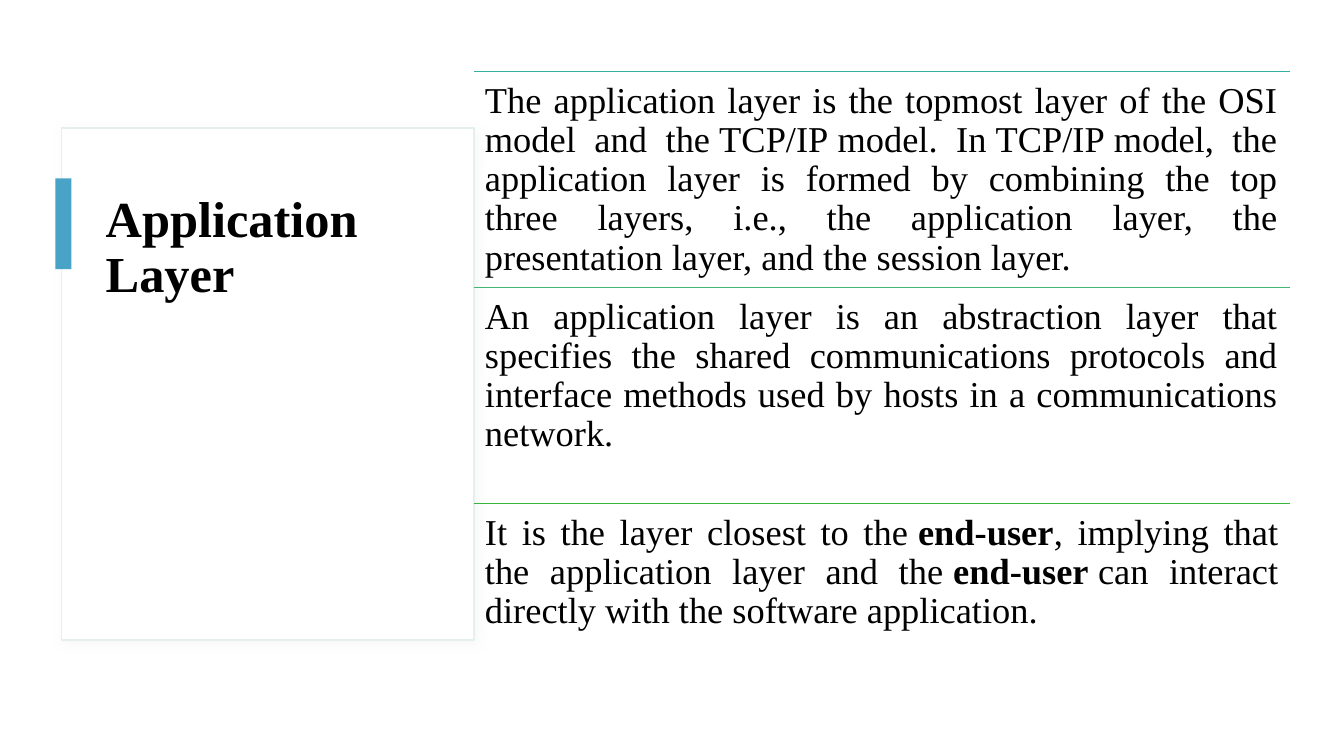
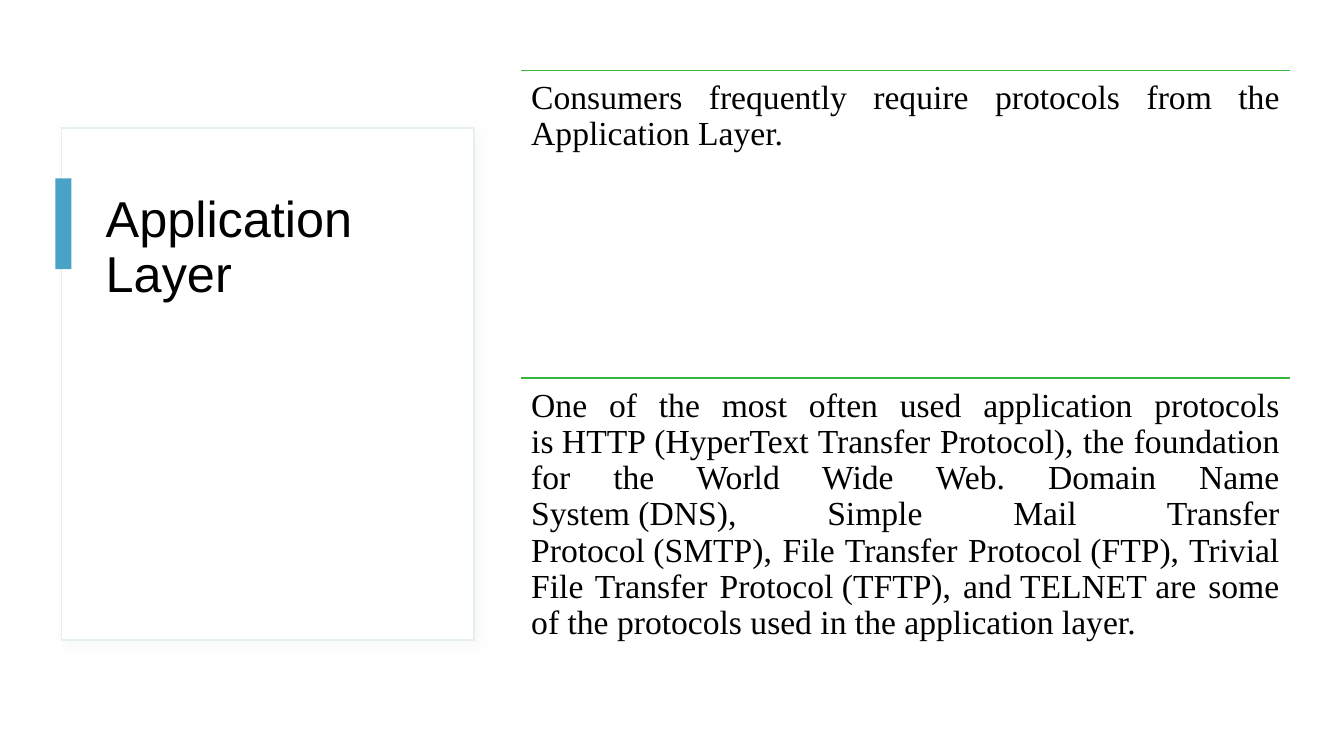
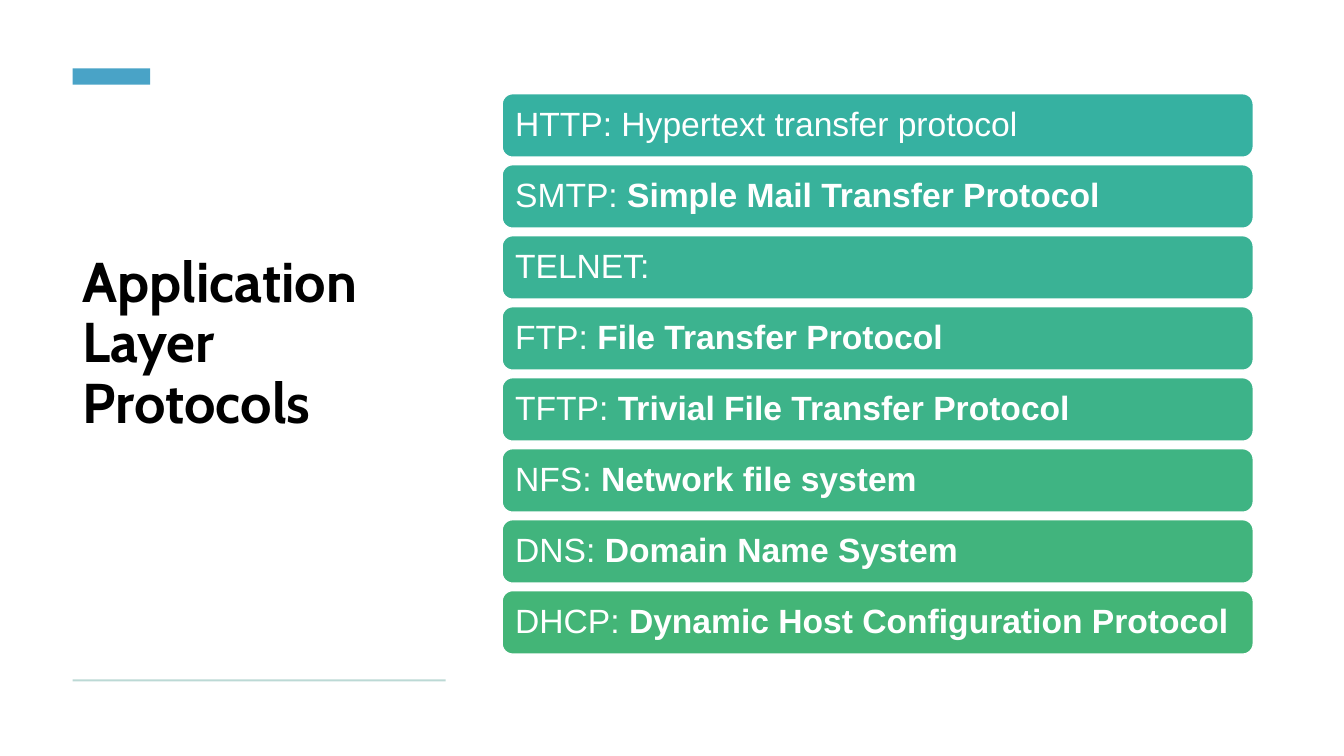
from dataclasses import dataclass

from lxml import etree
from pptx import Presentation
from pptx.dml.color import RGBColor
from pptx.enum.shapes import MSO_CONNECTOR, MSO_SHAPE
from pptx.enum.text import MSO_ANCHOR, PP_ALIGN
from pptx.oxml.ns import qn
from pptx.util import Inches, Pt

RECT = MSO_SHAPE.RECTANGLE
ROUND = MSO_SHAPE.ROUNDED_RECTANGLE
STRAIGHT = MSO_CONNECTOR.STRAIGHT
TOP = MSO_ANCHOR.TOP
MIDDLE = MSO_ANCHOR.MIDDLE
LEFT = PP_ALIGN.LEFT
JUSTIFY = PP_ALIGN.JUSTIFY
TIE = chr(160)


@dataclass(frozen=True)
class Theme:
    white: str = "FFFFFF"
    ink: str = "000000"
    accent: str = "49A3C7"
    edge: str = "E4F0EE"
    shade: str = "D9D9D9"
    pale: str = "BCD9D5"
    teal: str = "36B1A1"
    mint: str = "43B577"
    green: str = "37B53C"
    serif: str = "Times New Roman"
    sans: str = "Arial"
    round: str = "Cabin"
    large: int = 40
    title: int = 36
    body: int = 26
    small: int = 24
    spacing: float = 0.9


THEME = Theme()

LAYERS = [
    (THEME.teal, "The application layer is the topmost layer of the OSI model and the~TCP/IP~model. In~TCP/IP~model, the application layer is formed by combining the top three layers, i.e., the application layer, the presentation layer, and the session layer."),
    (THEME.mint, "An application layer is an abstraction layer that specifies the shared communications protocols and interface methods used by hosts in a communications network."),
    (THEME.green, "It is the layer closest to the~|end-user|, implying that the application layer and the~|end-user|~can interact directly with the software application."),
]

NEEDS = [
    (THEME.green, "Consumers frequently require protocols from the Application Layer."),
    (THEME.green, "One of the most often used application protocols is~HTTP~(HyperText Transfer Protocol), the foundation for the World Wide Web. Domain Name System~(DNS), Simple Mail Transfer Protocol~(SMTP), File Transfer Protocol~(FTP), Trivial File Transfer Protocol~(TFTP), and~TELNET~are some of the protocols used in the application layer."),
]

ROWS = [
    "HTTP: Hypertext transfer protocol",
    "SMTP: |Simple Mail Transfer Protocol",
    "TELNET:",
    "FTP: |File Transfer Protocol",
    "TFTP: |Trivial File Transfer Protocol",
    "NFS: |Network file system",
    "DNS: |Domain Name System",
    "DHCP: |Dynamic Host Configuration Protocol",
]


def put(item, values):
    for name, value in values.items():
        setattr(item, name, value)


def blend(start, end, part):
    pairs = zip(RGBColor.from_string(start), RGBColor.from_string(end))
    return str(RGBColor(*(round(a + (b - a) * part) for a, b in pairs)))


def write(shape, text, font, size, color, bold=False, align=LEFT, anchor=TOP, pads=(0.1,) * 4):
    frame = shape.text_frame
    left, top, right, bottom = map(Inches, pads)
    put(frame, {
        "word_wrap": True, "vertical_anchor": anchor, "margin_left": left,
        "margin_top": top, "margin_right": right, "margin_bottom": bottom,
    })
    para = frame.paragraphs[0]
    put(para, {"alignment": align, "line_spacing": THEME.spacing})
    for index, piece in enumerate(text.replace("~", TIE).split("|")):
        run = para.add_run()
        run.text = piece
        put(run.font, {"name": font, "size": Pt(size), "bold": bold or index % 2 == 1})
        run.font.color.rgb = RGBColor.from_string(color)


def add_text(slide, box, text, font, size, color, **style):
    shape = slide.shapes.add_textbox(*map(Inches, box))
    write(shape, text, font, size, color, **style)


def add_box(slide, box, fill, line=None, kind=RECT):
    shape = slide.shapes.add_shape(kind, *map(Inches, box))
    shape.shadow.inherit = False
    shape.fill.solid()
    shape.fill.fore_color.rgb = RGBColor.from_string(fill)
    if line:
        shape.line.color.rgb = RGBColor.from_string(line)
        shape.line.width = Pt(1)
    else:
        shape.line.fill.background()
    return shape


def add_shade(shape):
    effects = shape._element.spPr.find(qn("a:effectLst"))
    shade = etree.SubElement(effects, qn("a:outerShdw"), {
        "blurRad": str(Pt(8)), "dist": str(Pt(3)), "dir": "2700000",
        "algn": "tl", "rotWithShape": "0",
    })
    color = etree.SubElement(shade, qn("a:srgbClr"), val=THEME.shade)
    etree.SubElement(color, qn("a:alpha"), val="20000")


def add_rule(slide, left, top, width, color):
    ends = map(Inches, (left, top, left + width, top))
    rule = slide.shapes.add_connector(STRAIGHT, *ends)
    rule.line.color.rgb = RGBColor.from_string(color)
    rule.line.width = Pt(1)
    etree.SubElement(rule._element.spPr, qn("a:effectLst"))


def add_card(slide, font, bold):
    add_shade(add_box(slide, (0.61, 1.27, 4.09, 5.08), THEME.white, THEME.edge))
    add_text(slide, (0.95, 1.88, 3.39, 3.85), "Application Layer", font, THEME.title,
             THEME.ink, bold=bold, pads=(0.1, 0.05, 0.1, 0.05))
    add_box(slide, (0.55, 1.77, 0.16, 0.9), THEME.accent)


def add_list(slide, items, left, top, height, size, pad):
    width = 12.79 - left
    step = height / len(items)
    for index, (color, text) in enumerate(items):
        y = top + index * step
        add_rule(slide, left, y, width, color)
        add_text(slide, (left, y, width, step), text, THEME.serif, size,
                 THEME.ink, align=JUSTIFY, pads=(pad, 0.1, pad, 0.1))


def add_stack(slide, rows):
    first, last = 0.93, 5.86
    for index, text in enumerate(rows):
        part = index / (len(rows) - 1)
        box = (4.98, first + (last - first) * part, 7.45, 0.63)
        fill = blend(THEME.teal, THEME.mint, part)
        bar = add_box(slide, box, fill, THEME.white, ROUND)
        write(bar, text, THEME.sans, THEME.small, THEME.white, anchor=MIDDLE)


def add_side(slide):
    add_text(slide, (0.72, 1.05, 3.7, 5.41), "Application Layer Protocols", THEME.round,
             THEME.large, THEME.ink, bold=True, anchor=MIDDLE, pads=(0.1, 0.05, 0.1, 0.72))
    add_box(slide, (0.72, 0.68, 0.77, 0.16), THEME.accent)
    add_box(slide, (0.72, 6.74, 3.7, 0.02), THEME.pale)


def main():
    deck = Presentation()
    put(deck, {"slide_width": Inches(13.33), "slide_height": Inches(7.5)})
    blank = deck.slide_layouts[6]
    layers, needs, names = (deck.slides.add_slide(blank) for _ in range(3))

    add_card(layers, THEME.serif, True)
    add_list(layers, LAYERS, 4.7, 0.71, 6.43, THEME.body, 0.11)

    add_card(needs, THEME.sans, False)
    add_list(needs, NEEDS, 5.17, 0.7, 6.1, THEME.small, 0.1)

    add_side(names)
    add_stack(names, ROWS)

    deck.save("out.pptx")


if __name__ == "__main__":
    main()
